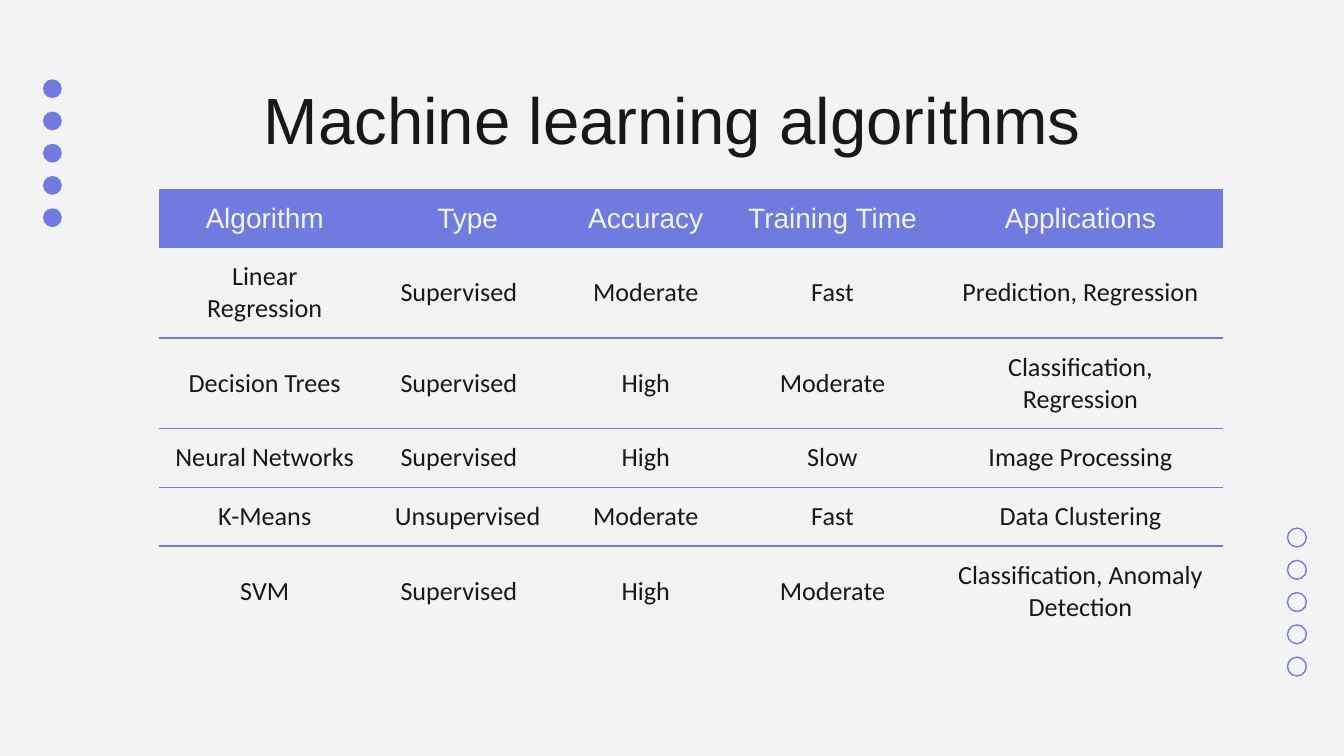
from pptx import Presentation
from pptx.dml.color import RGBColor
from pptx.enum.shapes import MSO_SHAPE as Shape
from pptx.enum.text import MSO_ANCHOR as Anchor, PP_ALIGN as Align
from pptx.oxml import parse_xml
from pptx.oxml.ns import nsdecls
from pptx.util import Inches, Pt

PERIWINKLE, INK, PAPER = "707BE0", "181818", "F3F3F3"
NO_STYLE_NO_GRID = "{2D5ABB26-0587-4C30-8999-92F81FD0307C}"


def paint(target, color):
    """Give a fill, or the fill of a line, a solid hex colour."""
    target.solid()
    target.fore_color.rgb = RGBColor.from_string(color)


def write(para, text, font, size, color):
    para.alignment = Align.CENTER
    span = para.add_run()
    span.text = text
    span.font.name = font
    span.font.size = Pt(size)
    paint(span.font.fill, color)


deck = Presentation()
deck.slide_width = Inches(10)
deck.slide_height = deck.slide_width * 9 // 16
page = deck.slides.add_slide(deck.slide_layouts[5])
paint(page.background.fill, PAPER)

# Dot columns: outlined at lower right, filled at upper left
DOT, DOT_STEP = 0.14, 0.24
for left, top, filled in [(9.58, 3.93, False), (0.32, 0.59, True)]:
    for step in range(5):
        dot = page.shapes.add_shape(
            Shape.OVAL, Inches(left), Inches(top + step * DOT_STEP), Inches(DOT), Inches(DOT))
        dot.shadow.inherit = False
        if filled:
            paint(dot.fill, PERIWINKLE)
            dot.line.fill.background()
        else:
            dot.fill.background()
            paint(dot.line.fill, PERIWINKLE)
            dot.line.width = Pt(0.75)

# Title
title = page.shapes.title
title.left, title.top = Inches(0.79), Inches(0.49)
title.width, title.height = Inches(8.43), Inches(0.63)
frame = title.text_frame
frame.vertical_anchor = Anchor.TOP
frame.margin_left = frame.margin_right = Inches(0.1)
frame.margin_top = frame.margin_bottom = Inches(0.1)
write(frame.paragraphs[0], "Machine learning algorithms", "Arial", 35, INK)

# Comparison table
rows = [
    ["Algorithm", "Type", "Accuracy", "Training Time", "Applications"],
    ["Linear Regression", "Supervised\t", "Moderate", "Fast", "Prediction, Regression"],
    ["Decision Trees", "Supervised\t", "High", "Moderate", "Classification, Regression"],
    ["Neural Networks", "Supervised\t", "High", "Slow", "Image Processing"],
    ["K-Means", "Unsupervised", "Moderate", "Fast", "Data Clustering"],
    ["SVM", "Supervised\t", "High", "Moderate", "Classification, Anomaly Detection"],
]
column_widths = [1.58, 1.44, 1.21, 1.57, 2.12]
ROW_HEIGHT = 0.42

table = page.shapes.add_table(
    len(rows), len(column_widths), Inches(1.18), Inches(1.41),
    Inches(sum(column_widths)), Inches(ROW_HEIGHT * len(rows))).table
table.first_row = table.horz_banding = False
table._tbl.tblPr[0].text = NO_STYLE_NO_GRID
for column, width in zip(table.columns, column_widths):
    column.width = Inches(width)

for row_index, row in enumerate(rows):
    is_header = row_index == 0
    has_rule = 0 < row_index < len(rows) - 1
    for column_index, text in enumerate(row):
        cell = table.cell(row_index, column_index)
        cell.vertical_anchor = Anchor.MIDDLE
        cell.margin_left = cell.margin_right = Inches(0.1)
        cell.margin_top = cell.margin_bottom = Inches(0.1)
        para = cell.text_frame.paragraphs[0]
        if is_header:
            paint(cell.fill, PERIWINKLE)
            write(para, text, "Arial", 15, PAPER)
        else:
            cell.fill.background()
            write(para, text, "Calibri", 14, INK)
        if has_rule:
            cell._tc.get_or_add_tcPr().insert(0, parse_xml(
                f'<a:lnB {nsdecls("a")} w="{Pt(0.75)}"><a:solidFill>'
                f'<a:srgbClr val="{PERIWINKLE}"/></a:solidFill></a:lnB>'))

deck.save("out.pptx")
